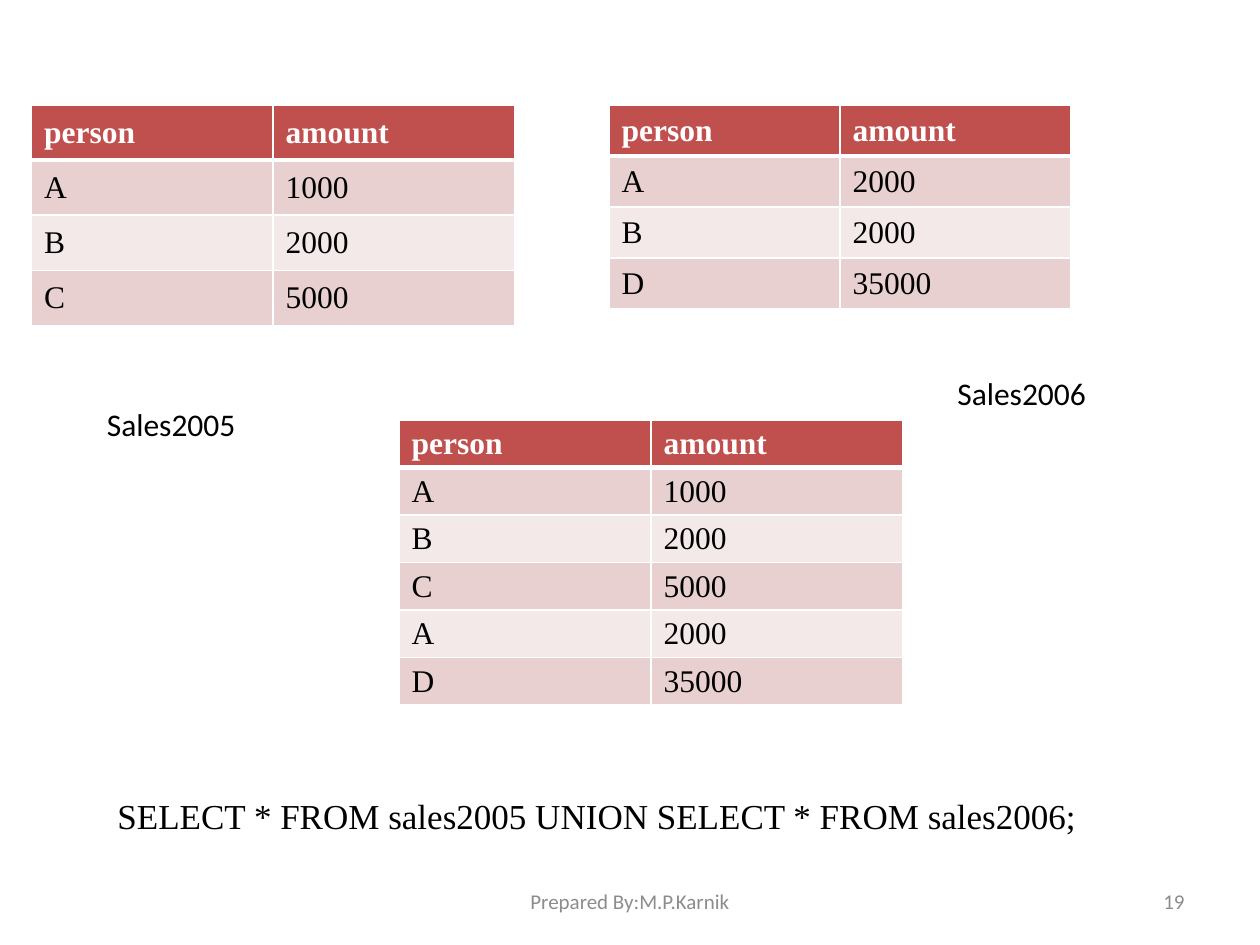
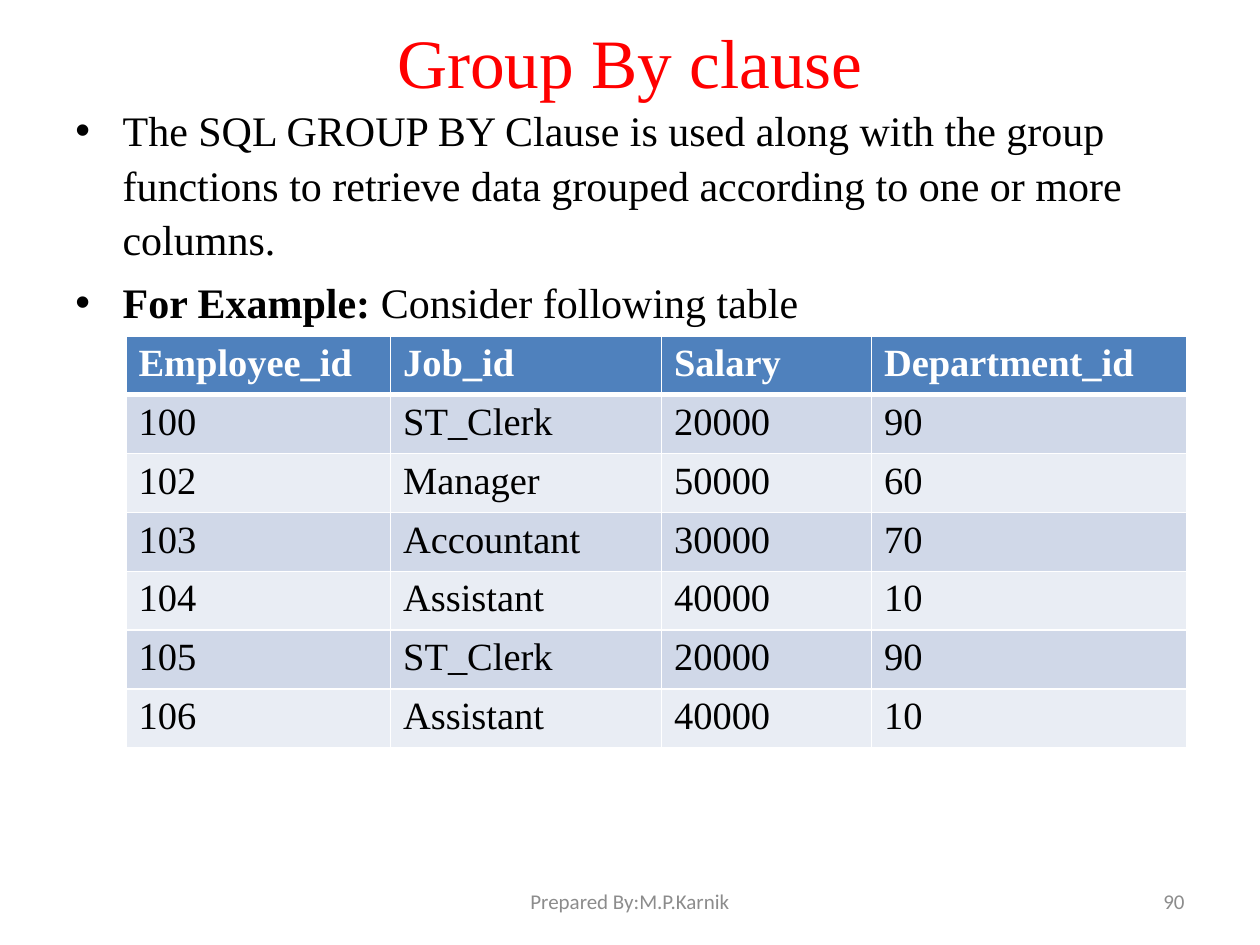
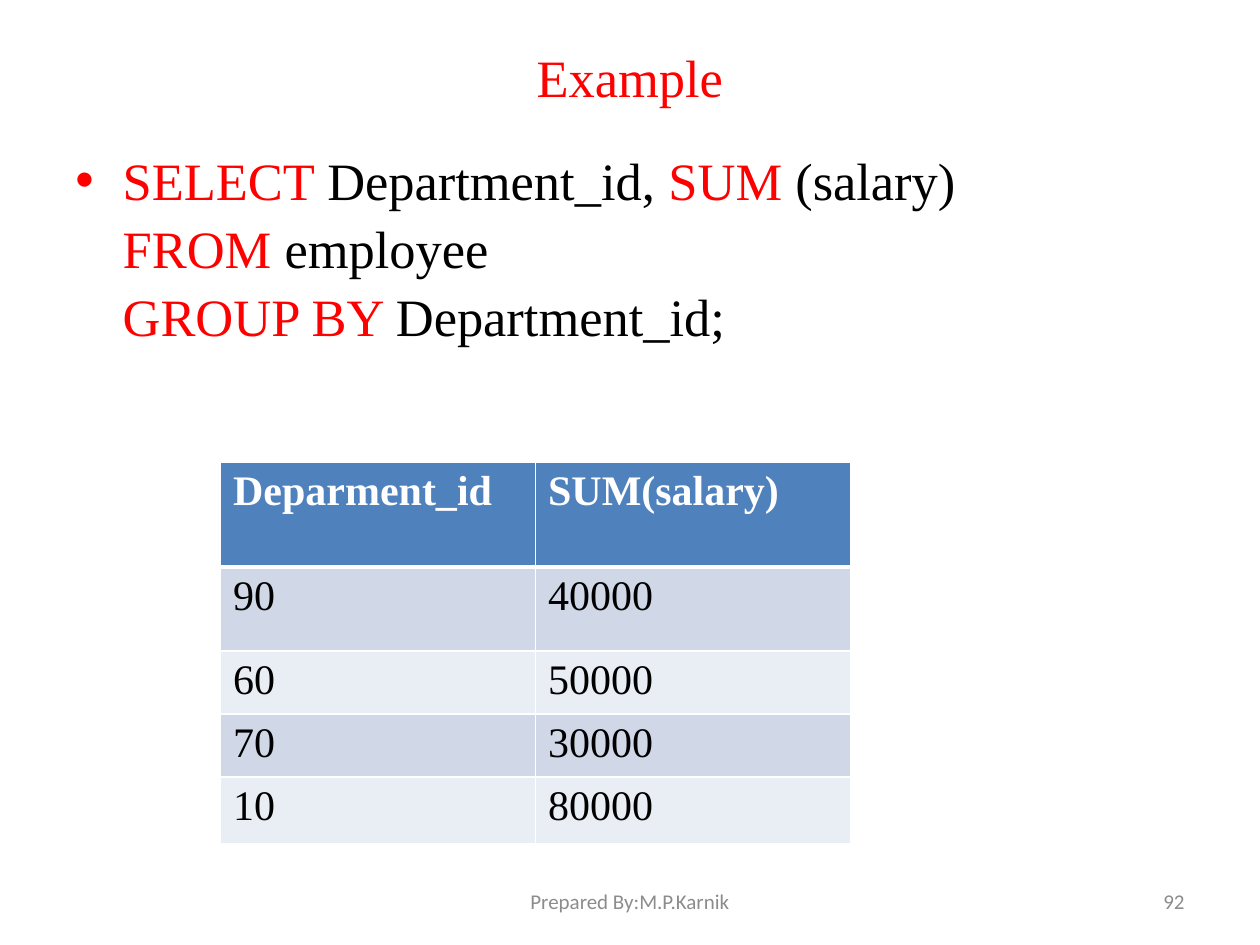
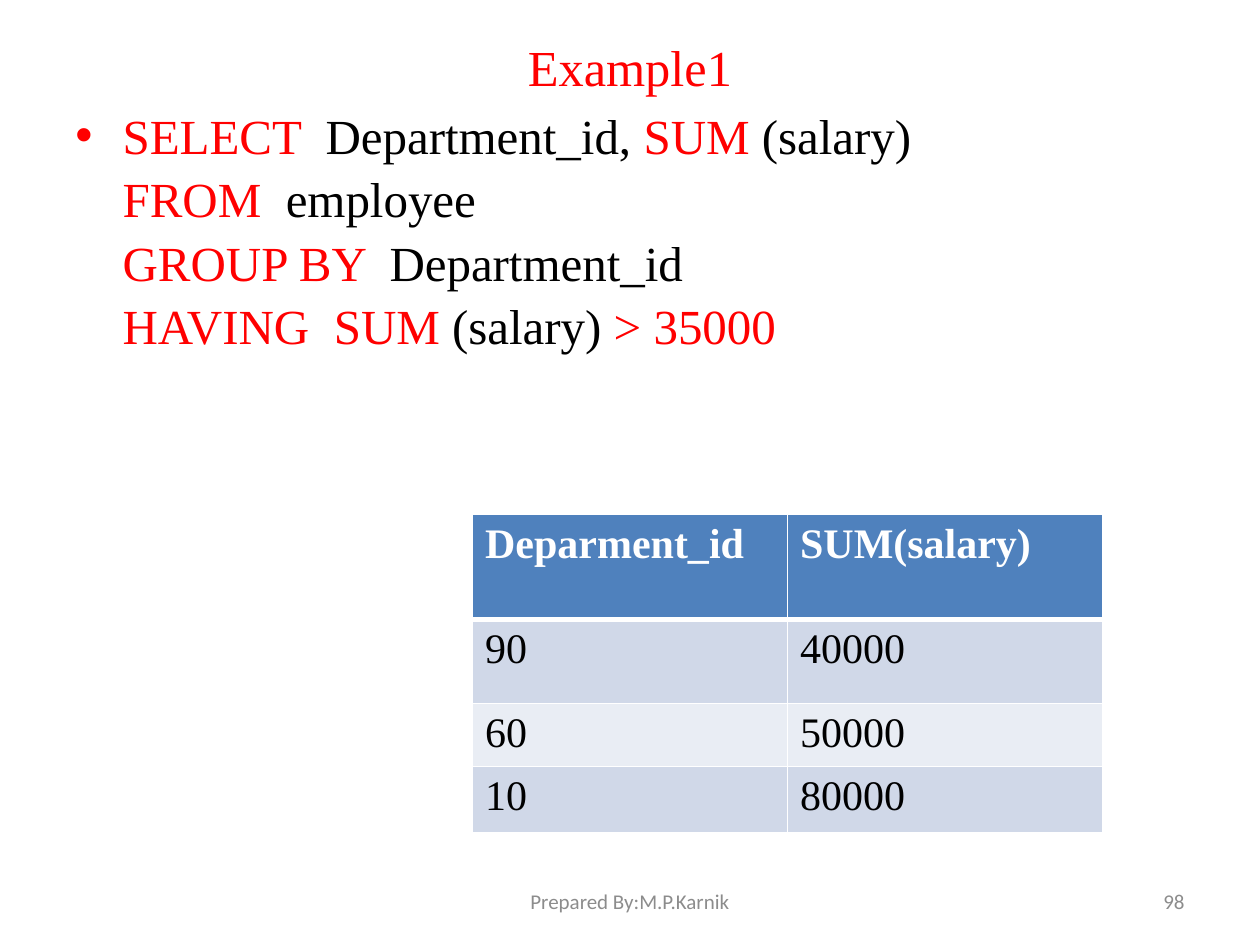
from lxml.etree import SubElement
from pptx import Presentation
from pptx.dml.color import RGBColor
from pptx.enum.text import MSO_ANCHOR as Anchor, PP_ALIGN as Align
from pptx.oxml import parse_xml
from pptx.oxml.ns import nsdecls, qn
from pptx.util import Inches, Pt

SLIDE_W, SLIDE_H = Inches(10), Inches(7.5)
GRID_COLS = 120
UNIT = SLIDE_W / GRID_COLS

BLACK = RGBColor(0x00, 0x00, 0x00)
WHITE = RGBColor(0xFF, 0xFF, 0xFF)
RED = RGBColor(0xFF, 0x00, 0x00)
GREY = RGBColor(0x8C, 0x8C, 0x8C)
RED_THEME = (RGBColor(0xC0, 0x50, 0x4D), RGBColor(0xE8, 0xD0, 0xD0), RGBColor(0xF4, 0xE9, 0xE9))
BLUE_THEME = (RGBColor(0x4F, 0x81, 0xBD), RGBColor(0xD0, 0xD8, 0xE8), RGBColor(0xE9, 0xED, 0xF4))

SERIF, SANS = "Times New Roman", "Calibri"
FOOTER = "Prepared By:M.P.Karnik"
INDENT = 4.5
BODY_LEADING = 1.08


def grid(units):
    """Turn grid units into a slide length."""
    return round(units * UNIT)


def add_run(paragraph, text, size, color=BLACK, font=SERIF, bold=False):
    """Append one styled run to a paragraph."""
    run = paragraph.add_run()
    run.text = text
    run.font.size = Pt(size)
    run.font.name = font
    run.font.bold = bold
    run.font.color.rgb = color


def add_frame(slide, box, anchor=Anchor.TOP):
    """Add a wrapping text box on the grid and return its text frame."""
    frame = slide.shapes.add_textbox(*map(grid, box)).text_frame
    frame.word_wrap = True
    frame.vertical_anchor = anchor
    return frame


def add_label(slide, box, text, size, color=BLACK, font=SERIF, align=Align.LEFT, anchor=Anchor.MIDDLE):
    """Add a text box that holds a single run."""
    paragraph = add_frame(slide, box, anchor).paragraphs[0]
    paragraph.alignment = align
    add_run(paragraph, text, size, color, font)


def add_footer(slide, number):
    """Add the author line and the slide number."""
    top, height = 83.4, 4.8
    add_label(slide, (86, top, 28, height), str(number), 12, GREY, SANS, Align.RIGHT)
    add_label(slide, (41, top, 38, height), FOOTER, 12, GREY, SANS, Align.CENTER)


def add_title(slide, height, text, size):
    """Add the centred red title."""
    add_label(slide, (6, 3.6, 108, height), text, size, RED, align=Align.CENTER)


def set_bullet(paragraph):
    """Give a paragraph a hanging round bullet."""
    props = paragraph._p.get_or_add_pPr()
    props.set("marL", str(grid(INDENT)))
    props.set("indent", str(-grid(INDENT)))
    SubElement(props, qn("a:buFont")).set("typeface", "Arial")
    SubElement(props, qn("a:buChar")).set("char", "•")


def add_bullets(slide, box, bullets, size):
    """Add bullets, each a list of lines made of (text, color, bold) runs."""
    frame = add_frame(slide, box)
    for index, lines in enumerate(bullets):
        paragraph = frame.add_paragraph() if index else frame.paragraphs[0]
        set_bullet(paragraph)
        paragraph.line_spacing = BODY_LEADING
        if index:
            paragraph.space_before = Pt(size * 0.2)
        for line_index, line in enumerate(lines):
            if line_index:
                paragraph.add_line_break()
            for text, color, bold in line:
                add_run(paragraph, text, size, color, bold=bold)


def set_borders(cell, top, bottom):
    """Draw white cell borders, with the given top and bottom widths in points."""
    props = cell._tc.get_or_add_tcPr()
    sides = (("lnL", 1), ("lnR", 1), ("lnT", top), ("lnB", bottom))
    for position, (side, width) in enumerate(sides):
        props.insert(position, parse_xml(
            f'<a:{side} {nsdecls("a")} w="{Pt(width)}"><a:solidFill>'
            f'<a:srgbClr val="{WHITE}"/></a:solidFill></a:{side}>'))


def add_banded_table(slide, corner, columns, heights, rows, theme, size, anchor=Anchor.TOP):
    """Add a table with a header row and alternating body rows."""
    header, *bands = theme
    extent = (sum(columns), sum(heights))
    table = slide.shapes.add_table(len(rows), len(columns), *map(grid, (*corner, *extent))).table
    table.first_row = table.horz_banding = False
    for column, width in zip(table.columns, columns):
        column.width = grid(width)
    for index, (row, height, values) in enumerate(zip(table.rows, heights, rows)):
        row.height = grid(height)
        is_header = index == 0
        for cell, value in zip(row.cells, values):
            cell.vertical_anchor = anchor
            cell.fill.solid()
            cell.fill.fore_color.rgb = header if is_header else bands[(index - 1) % 2]
            set_borders(cell, 3 if index == 1 else 1, 3 if is_header else 1)
            add_run(cell.text_frame.paragraphs[0], value, size,
                    WHITE if is_header else BLACK, bold=is_header)


def add_sales_table(slide, corner, column, height, sales):
    """Add a red table of persons and amounts."""
    rows = [("person", "amount"), *sales]
    add_banded_table(slide, corner, [column] * 2, [height] * len(rows), rows,
                     RED_THEME, 18, Anchor.MIDDLE)


def add_salary_table(slide, corner, totals):
    """Add a blue table of salary totals for each department."""
    heights = [10, 8, *[4.9] * (len(totals) - 2), 6.33]
    add_banded_table(slide, corner, [30, 30], heights,
                     [("Deparment_id", "SUM(salary)"), *totals], BLUE_THEME, 24)


def union_slide(slide):
    """Show two sales tables and their union."""
    add_sales_table(slide, (3, 10), 23, 5.25, [("A", "1000"), ("B", "2000"), ("C", "5000")])
    add_sales_table(slide, (58, 10), 22, 4.86, [("A", "2000"), ("B", "2000"), ("D", "35000")])
    add_sales_table(slide, (38, 40), 24, 4.4,
                    [("A", "1000"), ("B", "2000"), ("C", "5000"), ("A", "2000"), ("D", "35000")])
    add_label(slide, (10, 75, 94, 5.3),
              "SELECT * FROM sales2005 UNION SELECT * FROM sales2006;", 20)
    for left, top, name in ((9, 38, "Sales2005"), (90, 35, "Sales2006")):
        add_label(slide, (left, top, 18, 4.8), name, 18, font=SANS, anchor=Anchor.TOP)


def group_by_slide(slide):
    """Explain the clause and list the employees."""
    add_title(slide, 4.4, "Group By clause", 39.6)
    definition = ("The SQL GROUP BY Clause is used along with the group functions to "
                  "retrieve data grouped according to one or more columns.")
    add_bullets(slide, (6, 9, 108, 76), [
        [[(definition, BLACK, False)]],
        [[("For Example:", BLACK, True), (" Consider following table", BLACK, False)]],
    ], 24)
    employees = [
        ("Employee_id", "Job_id", "Salary", "Department_id"),
        ("100", "ST_Clerk", "20000", "90"),
        ("102", "Manager", "50000", "60"),
        ("103", "Accountant", "30000", "70"),
        ("104", "Assistant", "40000", "10"),
        ("105", "ST_Clerk", "20000", "90"),
        ("106", "Assistant", "40000", "10"),
    ]
    add_banded_table(slide, (12, 32), [25.2, 25.8, 20, 30], [4.9] * len(employees),
                     employees, BLUE_THEME, 22)


def query_slide(slide, title, title_height, title_size, query_box, query, query_size, corner, totals):
    """Show a query, red at its keywords, above its result."""
    add_title(slide, title_height, title, title_size)
    lines = [[(text, RED if index % 2 == 0 else BLACK, False) for index, text in enumerate(line)]
             for line in query]
    add_bullets(slide, query_box, [lines], query_size)
    add_salary_table(slide, corner, totals)


def sum_slide(slide):
    """Show the sum of salaries by department."""
    query = [("SELECT ", "Department_id, ", "SUM", " (salary)"),
             ("FROM ", "employee"),
             ("GROUP BY ", "Department_id;")]
    query_slide(slide, "Example", 7.4, 30, (6, 13, 108, 73), query, 30, (21, 44),
                [("90", "40000"), ("60", "50000"), ("70", "30000"), ("10", "80000")])


def having_slide(slide):
    """Show the sums that pass a condition."""
    query = [("SELECT  ", "Department_id,", " SUM ", "(salary)"),
             ("FROM  ", "employee"),
             ("GROUP BY  ", "Department_id"),
             ("HAVING  SUM ", "(salary) ", "> 35000")]
    query_slide(slide, "Example1", 5.4, 28.8, (6, 9, 108, 81), query, 28, (45, 49),
                [("90", "40000"), ("60", "50000"), ("10", "80000")])


def main():
    """Build and save the deck."""
    deck = Presentation()
    deck.slide_width, deck.slide_height = SLIDE_W, SLIDE_H
    blank = deck.slide_layouts[6]
    pages = ((union_slide, 19), (group_by_slide, 90), (sum_slide, 92), (having_slide, 98))
    for build, number in pages:
        slide = deck.slides.add_slide(blank)
        build(slide)
        add_footer(slide, number)
    deck.save("out.pptx")


if __name__ == "__main__":
    main()
